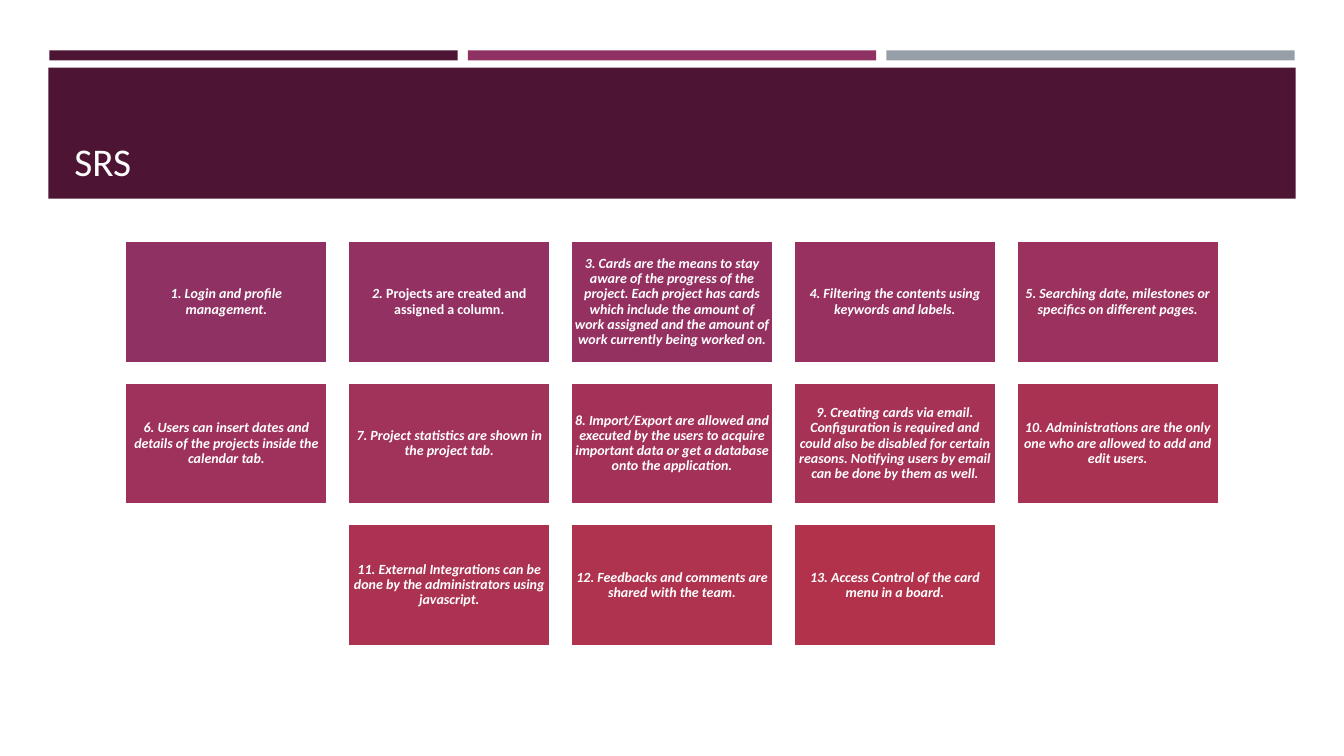
from dataclasses import dataclass

from pptx import Presentation
from pptx.dml.color import RGBColor
from pptx.enum.shapes import MSO_SHAPE
from pptx.enum.text import MSO_ANCHOR, PP_ALIGN
from pptx.util import Inches, Pt

RECTANGLE = MSO_SHAPE.RECTANGLE
MIDDLE = MSO_ANCHOR.MIDDLE
BOTTOM = MSO_ANCHOR.BOTTOM
CENTER = PP_ALIGN.CENTER


@dataclass(frozen=True)
class Theme:
    font: str = "Calibri"
    title_size: int = 28
    card_size: int = 10
    plum: str = "4D1434"
    magenta: str = "903163"
    gray: str = "969FA7"
    title_text: str = "FFFEFF"
    white: str = "FFFFFF"
    card_fills: tuple = (
        "903163", "933162", "953161", "98315F", "9B325D",
        "9E325C", "A1325A", "A43258", "A63256", "A93253",
        "AC3251", "AF324E", "B2324B",
    )


THEME = Theme()

COLUMNS = 5
CARD_LEFT, CARD_TOP = 1.24, 2.39
CARD_WIDTH, CARD_HEIGHT = 2.01, 1.21
COLUMN_STEP, ROW_STEP = 2.21, 1.405

# Each requirement is a list of (text, italic) spans.
REQUIREMENTS = [
    [("1. Login and profile management.", True)],
    [("2. ", True), ("Projects are created and assigned a column.", False)],
    [("3. Cards are the means to stay aware of the progress of the project. "
      "Each project has cards which include the amount of work assigned and "
      "the amount of work currently being worked on.", True)],
    [("4. Filtering the contents using keywords and labels.", True)],
    [("5. Searching date, milestones or specifics on different pages.", True)],
    [("6. Users can insert dates and details of the projects inside the "
      "calendar tab.", True)],
    [("7. Project statistics are shown in the project tab.", True)],
    [("8. Import/Export are allowed and executed by the users to acquire "
      "important data or get a database onto the application.", True)],
    [("9. Creating cards via email. Configuration is required and could also "
      "be disabled for certain reasons. Notifying users by email can be done "
      "by them as well.", True)],
    [("10. Administrations are the only one who are allowed to add and edit "
      "users.", True)],
    [("11. External Integrations can be done by the administrators using "
      "javascript.", True)],
    [("12. Feedbacks and comments are shared with the team.", True)],
    [("13. Access Control of the card menu in a board.", True)],
]


def set_font(font, size, color):
    font.name = THEME.font
    font.size = Pt(size)
    font.color.rgb = RGBColor.from_string(color)


def add_rectangle(page, left, top, width, height, fill):
    box = page.shapes.add_shape(
        RECTANGLE, Inches(left), Inches(top), Inches(width), Inches(height))
    box.shadow.inherit = False
    box.fill.solid()
    box.fill.fore_color.rgb = RGBColor.from_string(fill)
    box.line.fill.background()
    return box


def add_header(page):
    for index, color in enumerate((THEME.plum, THEME.magenta, THEME.gray)):
        add_rectangle(page, 0.49 + index * 4.15, 0.5, 4.05, 0.1, color)
    add_rectangle(page, 0.48, 0.67, 12.37, 1.3, THEME.plum)


def add_title(page, text):
    box = page.shapes.add_textbox(
        Inches(0.64), Inches(0.77), Inches(12.06), Inches(1.11))
    frame = box.text_frame
    frame.word_wrap = True
    frame.vertical_anchor = BOTTOM
    para = frame.paragraphs[0]
    para.text = text
    set_font(para.font, THEME.title_size, THEME.title_text)


def add_card(page, left, top, fill, spans):
    box = add_rectangle(page, left, top, CARD_WIDTH, CARD_HEIGHT, fill)
    box.line.color.rgb = RGBColor.from_string(THEME.white)
    box.line.width = Pt(1.75)
    frame = box.text_frame
    frame.word_wrap = True
    frame.vertical_anchor = MIDDLE
    frame.margin_left = frame.margin_right = Inches(0.04)
    frame.margin_top = frame.margin_bottom = Inches(0.04)
    para = frame.paragraphs[0]
    para.alignment = CENTER
    para.line_spacing = 0.9
    set_font(para.font, THEME.card_size, THEME.white)
    para.font.bold = True
    for text, italic in spans:
        span = para.add_run()
        span.text = text
        span.font.italic = italic


def add_card_grid(page):
    """Fill rows of cards from the left, centring a last row that is short."""
    for index, spans in enumerate(REQUIREMENTS):
        row, column = divmod(index, COLUMNS)
        in_row = min(COLUMNS, len(REQUIREMENTS) - row * COLUMNS)
        left = CARD_LEFT + (column + (COLUMNS - in_row) / 2) * COLUMN_STEP
        top = CARD_TOP + row * ROW_STEP
        add_card(page, left, top, THEME.card_fills[index], spans)


def main():
    deck = Presentation()
    deck.slide_width = Inches(13.33)
    deck.slide_height = Inches(7.5)
    page = deck.slides.add_slide(deck.slide_layouts[6])
    add_header(page)
    add_title(page, "SRS")
    add_card_grid(page)
    deck.save("out.pptx")


if __name__ == "__main__":
    main()
